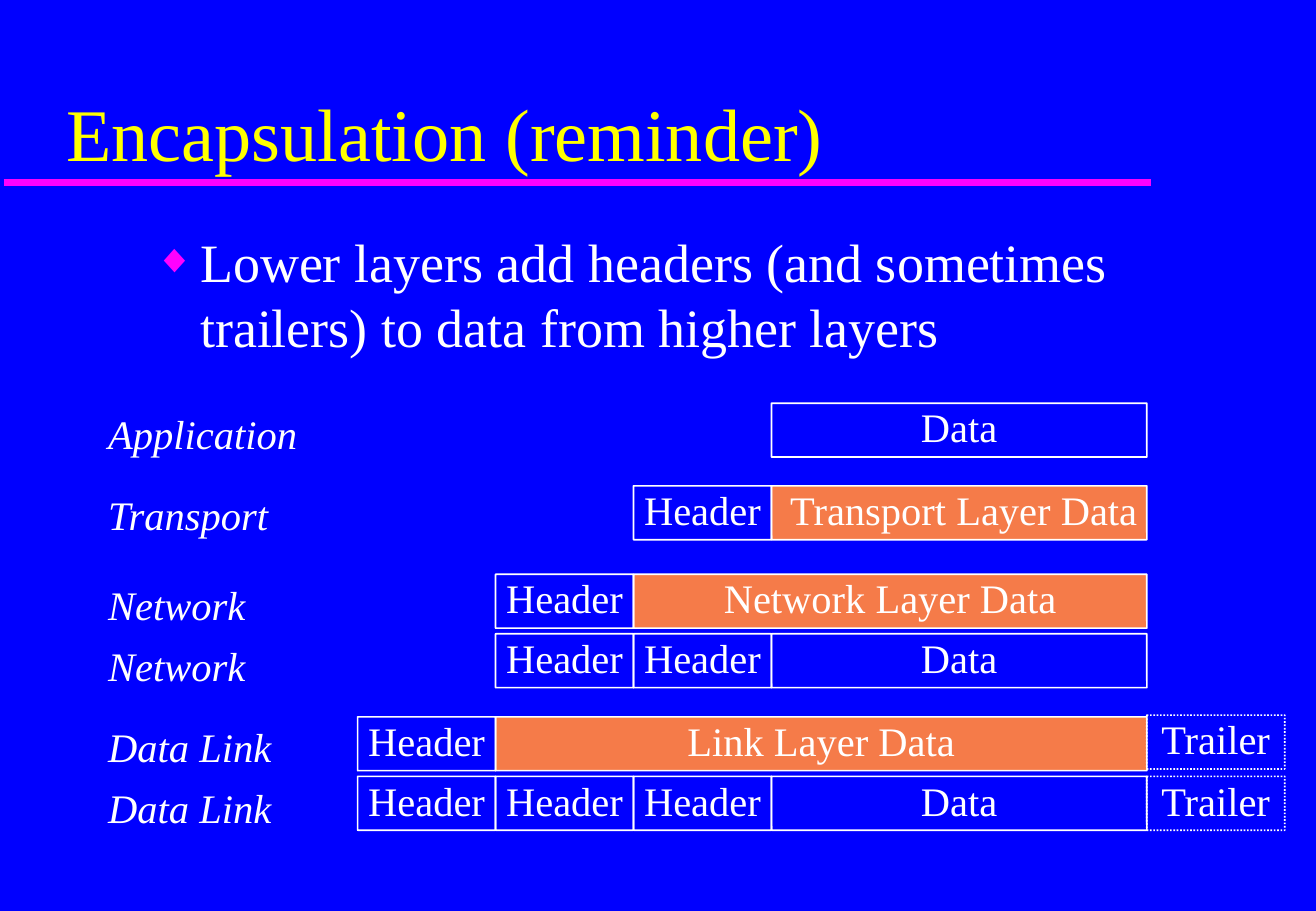
from dataclasses import dataclass

from lxml.etree import SubElement
from pptx import Presentation
from pptx.dml.color import RGBColor
from pptx.enum.dml import MSO_LINE_DASH_STYLE as Dash
from pptx.enum.shapes import MSO_CONNECTOR_TYPE as Connector, MSO_SHAPE as Shape
from pptx.enum.text import MSO_ANCHOR as Anchor, PP_ALIGN as Align
from pptx.oxml.ns import qn
from pptx.util import Pt

FONT = "Times New Roman"
BLUE, WHITE, YELLOW = "0000FF", "FFFFFF", "FFFF00"
MAGENTA, ORANGE = "FF00FF", "F57B49"

# Column edges: three header columns, the data column, the trailer column
HEADER_WIDTH, DATA_WIDTH, BLOCK_HEIGHT = 81.75, 222.5, 31.9
FIRST_EDGE = 212
DATA_EDGE = FIRST_EDGE + 3 * HEADER_WIDTH
EDGES = [FIRST_EDGE + i * HEADER_WIDTH for i in range(4)]
EDGES += [DATA_EDGE + DATA_WIDTH, DATA_EDGE + DATA_WIDTH + HEADER_WIDTH]
LABEL_LEFT, LABEL_WIDTH = 57.1, 144


@dataclass
class Block:
    text: str
    start: int
    end: int
    fill: str | None = None
    dotted: bool = False
    lift: float = 0


@dataclass
class Layer:
    name: str
    label_top: float
    top: float
    blocks: list[Block]


def header(column: int) -> Block:
    return Block("Header", column, column + 1)


def trailer(lift: float = 0) -> Block:
    return Block("Trailer", 4, 5, dotted=True, lift=lift)


DATA = Block("Data", 3, 4)
LAYERS = [
    Layer("Application", 239, 239, [DATA]),
    Layer("Transport", 286.9, 288,
          [Block(" Transport Layer Data", 3, 4, ORANGE), header(2)]),
    Layer("Network", 340.4, 340.4,
          [Block("Network Layer Data", 2, 4, ORANGE), header(1)]),
    Layer("Network", 376.4, 375.7, [DATA, header(2), header(1)]),
    Layer("Data Link", 424.3, 424.9,
          [Block("Link Layer Data", 1, 4, ORANGE), header(0), trailer(1)]),
    Layer("Data Link", 460.4, 460.2,
          [DATA, header(2), header(1), header(0), trailer()]),
]


def color(value: str) -> RGBColor:
    return RGBColor.from_string(value)


def write(target, text: str, *, size: float = 24, ink: str = WHITE,
          italic: bool = False, align=Align.LEFT, anchor=Anchor.TOP,
          insets=(7.2, 3.6, 7.2, 3.6),
          bullet: str | None = None, indent: float = 0) -> None:
    frame = target.text_frame
    frame.word_wrap = True
    frame.vertical_anchor = anchor
    (frame.margin_left, frame.margin_top,
     frame.margin_right, frame.margin_bottom) = map(Pt, insets)
    paragraph = frame.paragraphs[0]
    paragraph.text = text
    paragraph.alignment = align
    if bullet:
        properties = paragraph._p.get_or_add_pPr()
        properties.set("marL", str(Pt(indent)))
        properties.set("indent", str(-Pt(indent)))
        bullet_color = SubElement(properties, qn("a:buClr"))
        SubElement(bullet_color, qn("a:srgbClr"), val=MAGENTA)
        SubElement(properties, qn("a:buSzPct"), val="75000")
        SubElement(properties, qn("a:buFont"), typeface=FONT)
        SubElement(properties, qn("a:buChar"), char=bullet)
    font = paragraph.runs[0].font
    font.name, font.size, font.italic = FONT, Pt(size), italic
    font.color.rgb = color(ink)


def add_text(slide, text: str, left: float, top: float, width: float,
             height: float, **text_format) -> None:
    area = slide.shapes.add_textbox(Pt(left), Pt(top), Pt(width), Pt(height))
    write(area, text, **text_format)


def add_block(slide, block: Block, top: float) -> None:
    left, right = EDGES[block.start], EDGES[block.end]
    cell = slide.shapes.add_shape(
        Shape.ROUNDED_RECTANGLE, Pt(left), Pt(top - block.lift),
        Pt(right - left), Pt(BLOCK_HEIGHT))
    cell.adjustments[0] = 0.004
    cell.shadow.inherit = False
    if block.fill:
        cell.fill.solid()
        cell.fill.fore_color.rgb = color(block.fill)
    else:
        cell.fill.background()
    cell.line.color.rgb = color(WHITE)
    cell.line.width = Pt(1)
    if block.dotted:
        cell.line.dash_style = Dash.ROUND_DOT
    write(cell, block.text, align=Align.CENTER, anchor=Anchor.BOTTOM,
          insets=(3.6, 0, 3.6, 3.6))


def add_rule(slide, left: float, right: float, y: float) -> None:
    rule = slide.shapes.add_connector(
        Connector.STRAIGHT, Pt(left), Pt(y), Pt(right), Pt(y))
    rule.line.color.rgb = color(MAGENTA)
    rule.line.width = Pt(4)
    SubElement(rule._element.spPr, qn("a:effectLst"))


def main() -> None:
    deck = Presentation()
    deck.slide_width, deck.slide_height = Pt(780), Pt(540)
    slide = deck.slides.add_slide(deck.slide_layouts[6])
    slide.background.fill.solid()
    slide.background.fill.fore_color.rgb = color(BLUE)

    # Title and statement
    add_rule(slide, 2.2, 682.5, 108)
    add_text(slide, "Encapsulation (reminder)", 32.4, 20.9, 662.4, 87.1,
             size=44, ink=YELLOW, anchor=Anchor.BOTTOM)
    add_text(slide, "Lower layers add headers (and sometimes trailers) "
             "to data from higher layers", 84.5, 131.8, 658.8, 80,
             size=32, bullet="◆", indent=27)

    # Layer names and their blocks
    for layer in LAYERS:
        add_text(slide, layer.name, LABEL_LEFT, layer.label_top,
                 LABEL_WIDTH, 36, italic=True)
        for block in layer.blocks:
            add_block(slide, block, layer.top)

    deck.save("out.pptx")


if __name__ == "__main__":
    main()
